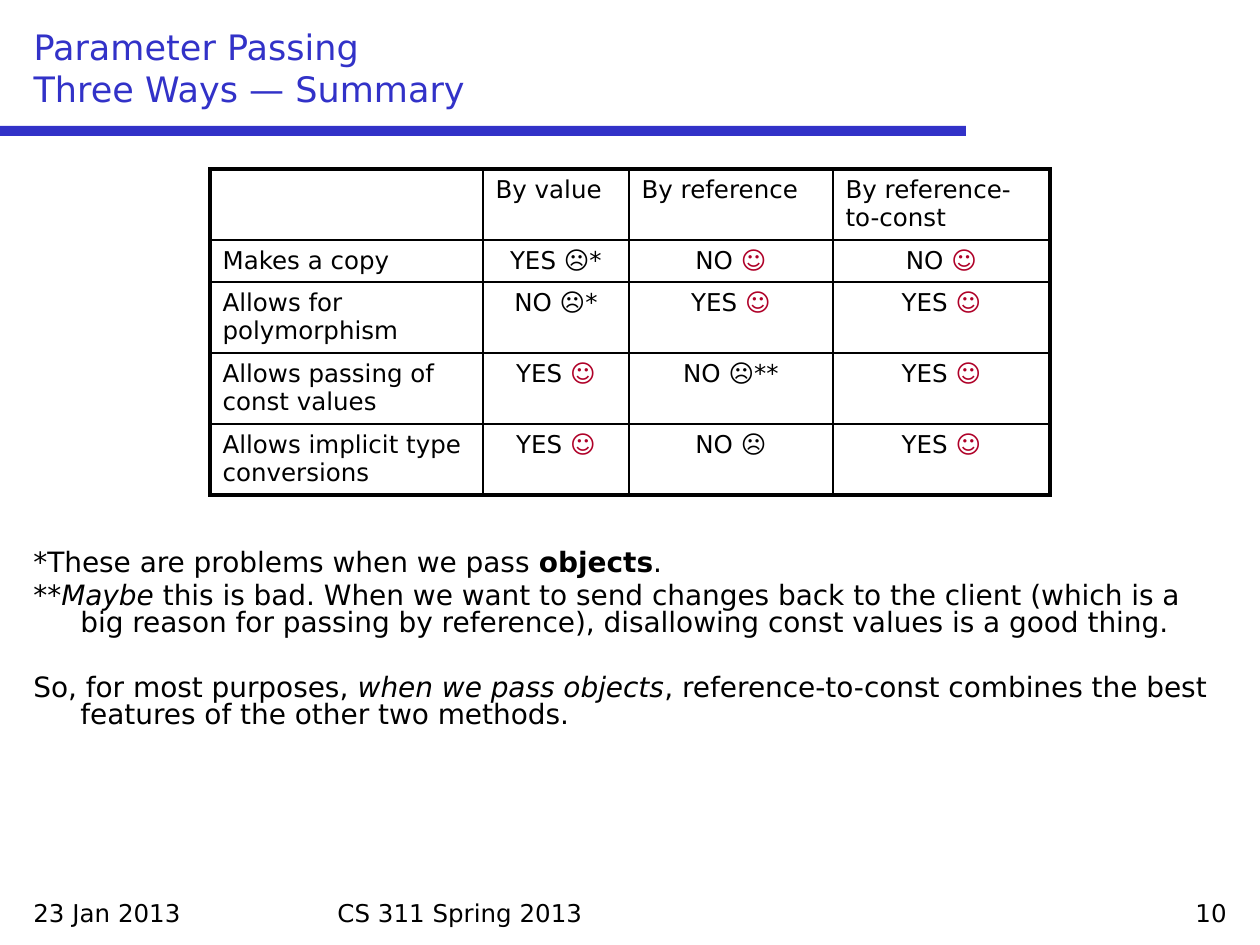
from lxml.etree import fromstring
from pptx import Presentation
from pptx.dml.color import RGBColor
from pptx.enum.shapes import MSO_SHAPE
from pptx.enum.text import MSO_ANCHOR, MSO_AUTO_SIZE, PP_ALIGN
from pptx.util import Emu, Pt

BLACK = RGBColor(0x00, 0x00, 0x00)
BLUE = RGBColor(0x32, 0x32, 0xC8)
RED = RGBColor(0xAF, 0x00, 0x28)
FONT = "DejaVu Sans"
HAPPY = "☺"
NS = "http://schemas.openxmlformats.org/drawingml/2006/main"
THIN, THICK = Pt(1), Pt(2.25)


def px(n):
    return Emu(round(n * 914400 / 126))


class Deck:
    def __init__(self, wide, high):
        self.prs = Presentation()
        self.prs.slide_width, self.prs.slide_height = px(wide), px(high)
        self.slide = self.prs.slides.add_slide(self.prs.slide_layouts[5])
        self.shapes = self.slide.shapes

    def style(self, run, size, color=BLACK, bold=False, italic=False):
        font = run.font
        font.name, font.size = FONT, Pt(size)
        font.bold, font.italic = bold, italic
        font.color.rgb = color

    def add_runs(self, par, parts, size):
        for text, look in parts:
            run = par.add_run()
            run.text = text
            self.style(run, size, **look)

    def title(self, text, x, y, w, h):
        shape = self.shapes.title
        shape.left, shape.top, shape.width, shape.height = map(px, (x, y, w, h))
        frame = shape.text_frame
        frame.auto_size = MSO_AUTO_SIZE.NONE
        frame.vertical_anchor = MSO_ANCHOR.BOTTOM
        frame.text = text
        par = frame.paragraphs[0]
        par.alignment = PP_ALIGN.LEFT
        for run in par.runs:
            self.style(run, 20, BLUE)

    def bar(self, x, y, w, h):
        shape = self.shapes.add_shape(MSO_SHAPE.RECTANGLE, *map(px, (x, y, w, h)))
        shape.shadow.inherit = False
        shape.fill.solid()
        shape.fill.fore_color.rgb = BLUE
        shape.line.fill.background()

    def box(self, x, y, w, h):
        frame = self.shapes.add_textbox(*map(px, (x, y, w, h))).text_frame
        frame.word_wrap = True
        return frame

    def label(self, text, x, y, w, h, align=PP_ALIGN.LEFT):
        par = self.box(x, y, w, h).paragraphs[0]
        par.text = text
        par.alignment = align
        self.style(par.runs[0], 14)

    def notes(self, items, x, y, w, h):
        frame = self.box(x, y, w, h)
        for i, (gap, parts) in enumerate(items):
            par = frame.add_paragraph() if i else frame.paragraphs[0]
            props = par._p.get_or_add_pPr()
            props.set("marL", str(px(47)))
            props.set("indent", str(-px(47)))
            par.line_spacing = 0.8
            par.space_before = Pt(gap)
            self.add_runs(par, parts, 16)

    def edges(self, cell, widths):
        props = cell._tc.get_or_add_tcPr()
        for i, (side, width) in enumerate(zip("LRTB", widths)):
            props.insert(i, fromstring(
                f'<a:ln{side} xmlns:a="{NS}" w="{width}"><a:solidFill>'
                f'<a:srgbClr val="{BLACK}"/></a:solidFill></a:ln{side}>'))

    def table(self, rows, x, y, cols, highs):
        last_r, last_c = len(highs) - 1, len(cols) - 1
        size = map(px, (x, y, sum(cols), sum(highs)))
        table = self.shapes.add_table(len(highs), len(cols), *size).table
        table.first_row = table.horz_banding = False
        for col, w in zip(table.columns, cols):
            col.width = px(w)
        for row, h in zip(table.rows, highs):
            row.height = px(h)
        for r, row in enumerate(rows):
            for c, text in enumerate(row):
                cell = table.cell(r, c)
                cell.fill.background()
                outer = (c == 0, c == last_c, r == 0, r == last_r)
                self.edges(cell, [THICK if o else THIN for o in outer])
                par = cell.text_frame.paragraphs[0]
                par.alignment = PP_ALIGN.CENTER if r and c else PP_ALIGN.LEFT
                # The happy face is red, all other text black
                plain, face, _ = text.partition(HAPPY)
                parts = [(plain, {}), (face, {"color": RED})]
                self.add_runs(par, [p for p in parts if p[0]], 14)
                if not text:
                    par.font.size = Pt(14)


def main():
    deck = Deck(1260, 945)

    # Heading
    deck.bar(0, 126, 966, 10)
    deck.title("Parameter Passing\vThree Ways — Summary", 21, 21, 1218, 95)

    # Comparison of the three ways
    deck.table([
        ("", "By value", "By reference", "By reference-to-const"),
        ("Makes a copy", "YES ☹*", "NO ☺", "NO ☺"),
        ("Allows for polymorphism", "NO ☹*", "YES ☺", "YES ☺"),
        ("Allows passing of const values", "YES ☺", "NO ☹**", "YES ☺"),
        ("Allows implicit type conversions", "YES ☺", "NO ☹", "YES ☺"),
    ], 210, 169, (273, 146, 204, 217), (71, 42, 71, 71, 71))

    # Remarks: space before, then runs
    slant = {"italic": True}
    deck.notes([
        (0, [("*These are problems when we pass ", {}),
             ("objects", {"bold": True}), (".", {})]),
        (3.2, [("**", {}), ("Maybe", slant),
               (" this is bad. When we want to send changes back to the client "
                "(which is a big reason for passing by reference), disallowing "
                "const values is a good thing.", {})]),
        (22, [("So, for most purposes, ", {}), ("when we pass objects", slant),
              (", reference-to-const combines the best features of the other "
               "two methods.", {})]),
    ], 21, 545, 1218, 337)

    # Footer
    deck.label("23 Jan 2013", 21, 892, 294, 42)
    deck.label("CS 311 Spring 2013", 325, 892, 609, 42)
    deck.label("10", 945, 892, 294, 42, PP_ALIGN.RIGHT)

    deck.prs.save("out.pptx")


if __name__ == "__main__":
    main()
